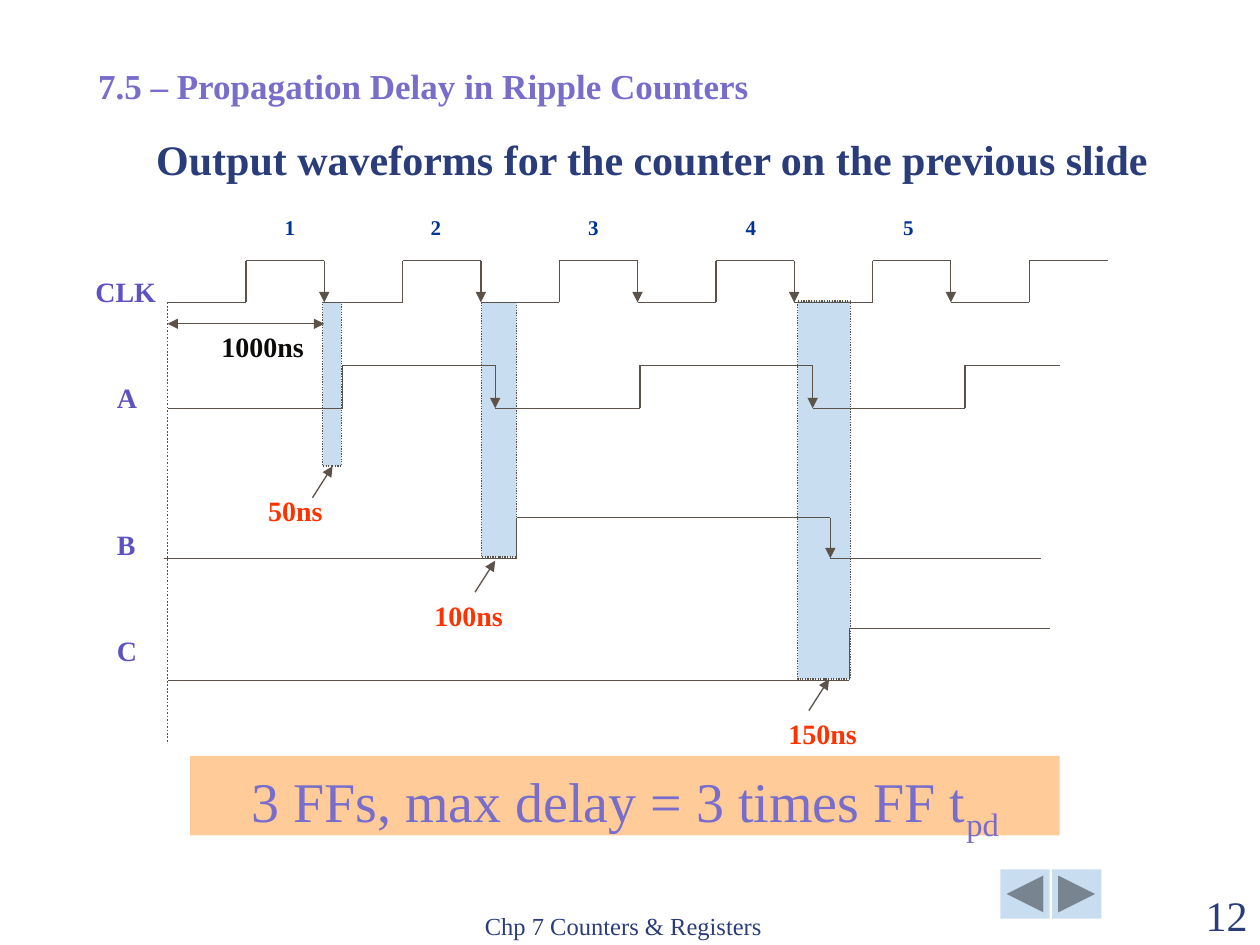
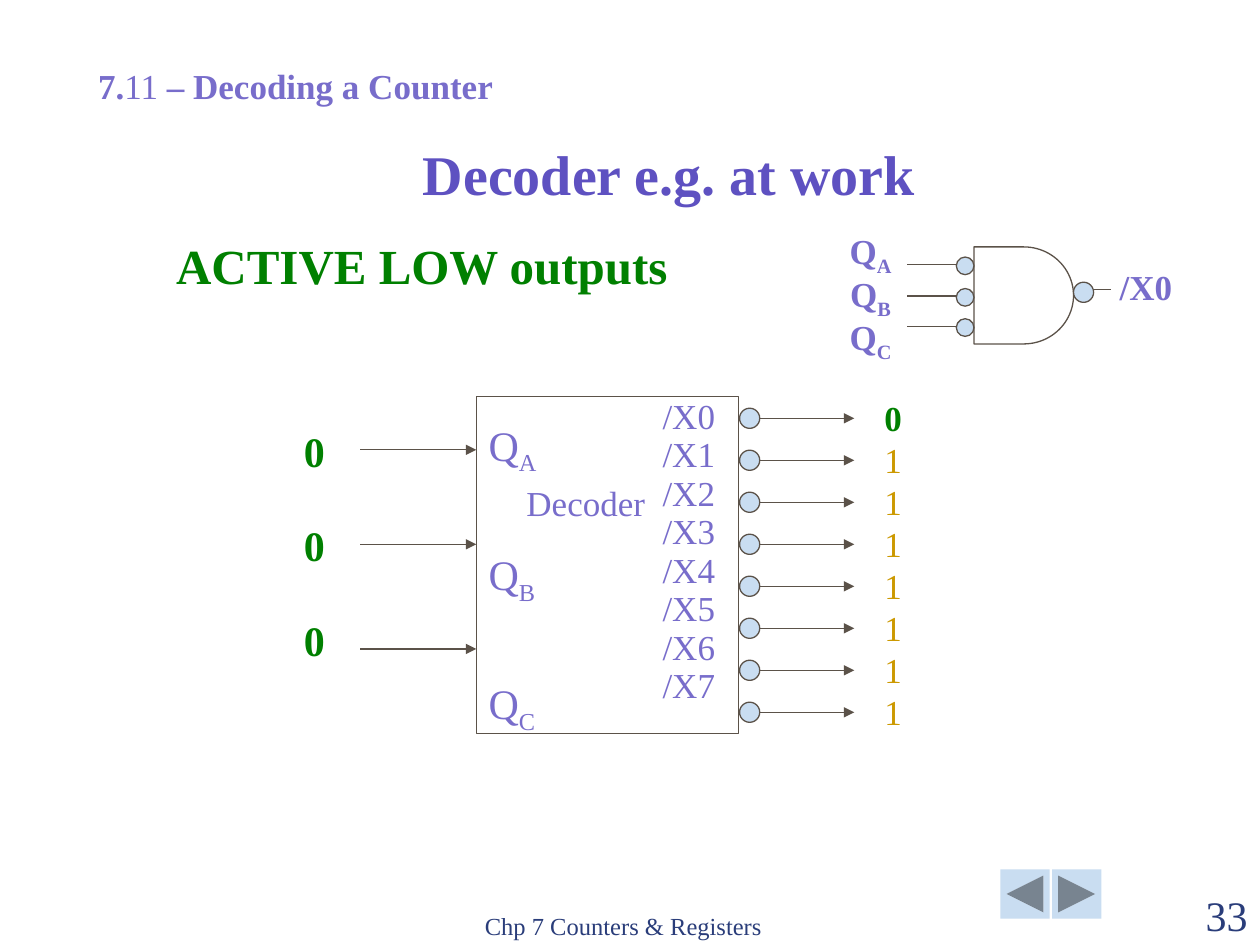
from dataclasses import dataclass
from itertools import pairwise
from lxml.etree import SubElement
from pptx import Presentation
from pptx.dml.color import RGBColor
from pptx.enum.dml import MSO_LINE
from pptx.enum.shapes import MSO_CONNECTOR, MSO_SHAPE
from pptx.enum.text import MSO_ANCHOR, MSO_AUTO_SIZE, PP_ALIGN
from pptx.oxml.ns import qn
from pptx.util import Inches, Pt


@dataclass(frozen=True)
class Theme:
    font: str = "Times New Roman"
    navy: str = "2A3D7A"
    blue: str = "003399"
    violet: str = "5E51C1"
    lilac: str = "786DCB"
    pale: str = "C9DDF1"
    peach: str = "FFCC99"
    line: str = "5B5249"
    ink: str = "0C0B0A"
    red: str = "FF3300"
    green: str = "008000"
    gold: str = "CC9900"
    tick: int = 12
    foot: int = 14
    label: int = 16
    body: int = 20
    head: int = 24
    lead: int = 28
    big: int = 32
    thin: float = 0.75


T = Theme()
WIDE, HIGH = 10, 7.5
LEFT, CENTRE, RIGHT = PP_ALIGN.LEFT, PP_ALIGN.CENTER, PP_ALIGN.RIGHT
TOP, BOTTOM = MSO_ANCHOR.TOP, MSO_ANCHOR.BOTTOM

# Each run is (text, size, colour, bold, subscript).
FOOT = "Chp 7 Counters & Registers"
WAVES = {
    "number": "12",
    "section": [("7.5 – Propagation Delay in Ripple Counters", T.body, T.lilac, True)],
    "title": ("Output waveforms for the counter on the previous slide", T.head, T.navy, True),
    "title_box": (0.95, 1.01, 8.45, 0.5),
}
DECODE = {
    "number": "33",
    "section": [("7.", T.body, T.lilac, True), ("11", T.body, T.lilac),
                (" – Decoding a Counter", T.body, T.lilac, True)],
    "title": ("Decoder e.g. at work", T.big, T.violet, True),
    "title_box": (1.99, 1.02, 6.64, 0.67),
}

START, CLOCK_END, HALVES = 1.33, 8.79, 12
HALF = (CLOCK_END - START) / HALVES
CLOCK = [START + HALF * i for i in range(HALVES + 1)]
PULSES = "12345"
# Signal: low level, high level, start, edges and end
SIGNALS = [
    (2.4, 2.07, CLOCK),
    (3.24, 2.9, [START, 2.72, 3.93, 5.08, 6.45, 7.66, 8.41]),
    (4.43, 4.11, [1.3, 4.1, 6.59, 8.26]),
    (5.4, 4.99, [START, 6.74, 8.33]),
]
NAMES = [("CLK", 0.66, 2.13), ("A", 0.83, 2.97), ("B", 0.83, 4.14), ("C", 0.83, 4.98)]
# Delay: name, band, arrow tip, label corner
DELAYS = [
    ("150ns", (6.33, 2.39, 0.42, 3), (6.58, 5.39), (6.16, 5.64)),
    ("100ns", (3.82, 2.4, 0.28, 2.02), (3.93, 4.45), (3.35, 4.7)),
    ("50ns", (2.56, 2.4, 0.15, 1.3), (2.64, 3.7), (2.03, 3.87)),
]

PINS = "ABC"
PIN_ROWS = [3.57, 4.32, 5.15]
GATE_ROWS = [2.1, 2.35, 2.59]
INPUTS = "000"
OUTPUTS = "01111111"
CHIP = (3.78, 3.15, 2.08, 2.67)


def rgb(code):
    return RGBColor.from_string(code)


def inch(*sizes):
    return [Inches(s) for s in sizes]


def fill_text(frame, paras, align=LEFT, anchor=TOP, pitch=None, gap=0, tabs=()):
    frame.word_wrap = True
    frame.auto_size = MSO_AUTO_SIZE.NONE
    frame.vertical_anchor = anchor
    for i, runs in enumerate(paras):
        para = frame.add_paragraph() if i else frame.paragraphs[0]
        para.alignment = align
        para.space_before = Pt(gap if i else 0)
        if pitch:
            para.line_spacing = pitch
        if tabs:
            stops = SubElement(para._p.get_or_add_pPr(), qn("a:tabLst"))
            for stop in tabs:
                SubElement(stops, qn("a:tab"), pos=str(Inches(stop)), algn="l")
        for words, size, tone, *style in runs:
            bold, sub = (style + [False, False])[:2]
            run = para.add_run()
            run.text = words
            run.font.name = T.font
            run.font.size = Pt(size)
            run.font.bold = bold
            run.font.color.rgb = rgb(tone)
            if sub:
                run._r.get_or_add_rPr().set("baseline", "-25000")


def text(slide, box, *paras, **style):
    frame = slide.shapes.add_textbox(*inch(*box)).text_frame
    fill_text(frame, paras, **style)


def shape(slide, kind, box, fill=None, edge=True, dash=None):
    item = slide.shapes.add_shape(kind, *inch(*box))
    item.shadow.inherit = False
    if fill:
        item.fill.solid()
        item.fill.fore_color.rgb = rgb(fill)
    else:
        item.fill.background()
    if edge:
        item.line.color.rgb = rgb(T.line)
        item.line.width = Pt(T.thin)
        item.line.dash_style = dash
    else:
        item.line.fill.background()
    return item


def line(slide, start, end, ends=(), dash=None, width=T.thin):
    """Draw a line; ends names the tips (headEnd, tailEnd) with an arrow."""
    item = slide.shapes.add_connector(MSO_CONNECTOR.STRAIGHT, *inch(*start, *end))
    item.line.color.rgb = rgb(T.line)
    item.line.width = Pt(width)
    item.line.dash_style = dash
    for tip in ends:
        SubElement(item.line._get_or_add_ln(), qn("a:" + tip), type="triangle")
    SubElement(item._element.spPr, qn("a:effectLst"))


def arrow(slide, start, end):
    line(slide, start, end, ["tailEnd"])


def bubble(slide, x, y, size):
    """Draw an inversion circle, x at its left and y at its middle."""
    shape(slide, MSO_SHAPE.OVAL, (x, y - size / 2, size, size), T.pale)


def pins(size, bold=False):
    return [[("Q", size, T.lilac, bold), (p, size, T.lilac, bold, True)] for p in PINS]


def page(deck, data):
    slide = deck.slides.add_slide(deck.slide_layouts.get_by_name("Title Only"))
    title = slide.shapes.title
    title.left, title.top, title.width, title.height = inch(*data["title_box"])
    fill_text(title.text_frame, [[data["title"]]], align=CENTRE, anchor=BOTTOM)
    text(slide, (0.68, 0.46, 8, 0.43), data["section"])
    buttons = [MSO_SHAPE.ACTION_BUTTON_BACK_OR_PREVIOUS,
               MSO_SHAPE.ACTION_BUTTON_FORWARD_OR_NEXT]
    for i, kind in enumerate(buttons):
        shape(slide, kind, (7.94 + 0.41 * i, 6.9, 0.39, 0.39), T.pale, edge=False)
    text(slide, (3.75, 7.01, 3.17, 0.5), [(FOOT, T.foot, T.navy)], anchor=BOTTOM)
    text(slide, (9, 7.01, 1, 0.5), [(data["number"], T.head, T.navy)],
         align=RIGHT, anchor=BOTTOM)
    return slide


def wave(slide, low, high, xs):
    """Draw a signal that starts low and flips at each inner x."""
    for i, (x, nxt) in enumerate(pairwise(xs)):
        now, then = (high, low) if i % 2 else (low, high)
        line(slide, (x, now), (nxt, now))
        if nxt != xs[-1]:
            line(slide, (nxt, now), (nxt, then), ["tailEnd"] if i % 2 else [])


def draw_waves(deck):
    slide = page(deck, WAVES)
    for name, band, (x, y), spot in DELAYS:
        shape(slide, MSO_SHAPE.RECTANGLE, band, T.pale, dash=MSO_LINE.ROUND_DOT)
        text(slide, (*spot, 0.9, 0.37), [(name, T.label, T.red, True)])
        arrow(slide, (x - 0.16, y + 0.25), (x, y))
    for signal in SIGNALS:
        wave(slide, *signal)
    for name, x, y in NAMES:
        text(slide, (x, y, 0.83, 0.37), [(name, T.label, T.violet, True)])
    text(slide, (2.16, 1.65, 7.25, 0.3), [("\t".join(PULSES), T.tick, T.blue, True)],
         tabs=[1.16 + 1.25 * i for i in range(len(PULSES) - 1)])
    line(slide, (START, 2.4), (START, 5.9), dash=MSO_LINE.ROUND_DOT, width=1)
    line(slide, (START, 2.57), (START + 2 * HALF, 2.57), ["headEnd", "tailEnd"])
    text(slide, (1.66, 2.57, 1, 0.37), [("1000ns", T.label, T.ink, True)])
    banner = shape(slide, MSO_SHAPE.RECTANGLE, (1.51, 6, 6.9, 0.63), T.peach, edge=False)
    banner.text_frame.margin_top = Inches(0.08)
    fill_text(banner.text_frame, [[("3 FFs, max delay = 3 times FF t", T.big, T.lilac),
                                   ("pd", T.big, T.lilac, False, True)]], align=CENTRE)


def draw_gate(slide):
    shape(slide, MSO_SHAPE.FLOWCHART_DELAY, (7.73, 1.96, 0.79, 0.77))
    for y in GATE_ROWS:
        line(slide, (7.2, y), (7.73, y))
        bubble(slide, 7.59, y + 0.01, 0.14)
    line(slide, (8.55, 2.3), (8.82, 2.3))
    bubble(slide, 8.52, 2.32, 0.16)
    text(slide, (6.56, 1.78, 0.7, 1), *pins(T.body, True), align=CENTRE, pitch=0.9)
    text(slide, (8.76, 2.06, 0.67, 0.43), [("/X0", T.body, T.lilac, True)], align=CENTRE)


def draw_decoder(deck):
    slide = page(deck, DECODE)
    left, top, width, _ = CHIP
    right = left + width
    shape(slide, MSO_SHAPE.RECTANGLE, CHIP)
    for y in PIN_ROWS:
        arrow(slide, (left - 0.92, y), (left, y))
    for i in range(len(OUTPUTS)):
        y = top + 0.17 + i / 3
        arrow(slide, (right, y), (right + 0.92, y))
        bubble(slide, right + 0.01, y, 0.16)
    text(slide, (4.08, 3.77, 1.2, 0.43), [("Decoder", T.body, T.lilac)])
    text(slide, (left, 3.28, 0.8, 2.5), *pins(T.head), gap=41)
    text(slide, (5.16, 3.11, 0.69, 2.6),
         *[[(f"/X{i}", T.body, T.lilac)] for i in range(len(OUTPUTS))], pitch=Pt(22))
    text(slide, (2.21, 3.33, 0.57, 2.1),
         *[[(bit, T.head, T.green, True)] for bit in INPUTS], align=CENTRE, gap=25)
    tones = {"0": (T.green, True), "1": (T.gold, False)}
    text(slide, (6.92, 3.1, 0.43, 2.77),
         *[[(bit, T.body, *tones[bit])] for bit in OUTPUTS], pitch=Pt(24))
    text(slide, (1.3, 1.82, 4.4, 0.55), [("ACTIVE LOW outputs", T.lead, T.green, True)])
    draw_gate(slide)


def main():
    deck = Presentation()
    deck.slide_width, deck.slide_height = inch(WIDE, HIGH)
    draw_waves(deck)
    draw_decoder(deck)
    deck.save("out.pptx")


if __name__ == "__main__":
    main()
